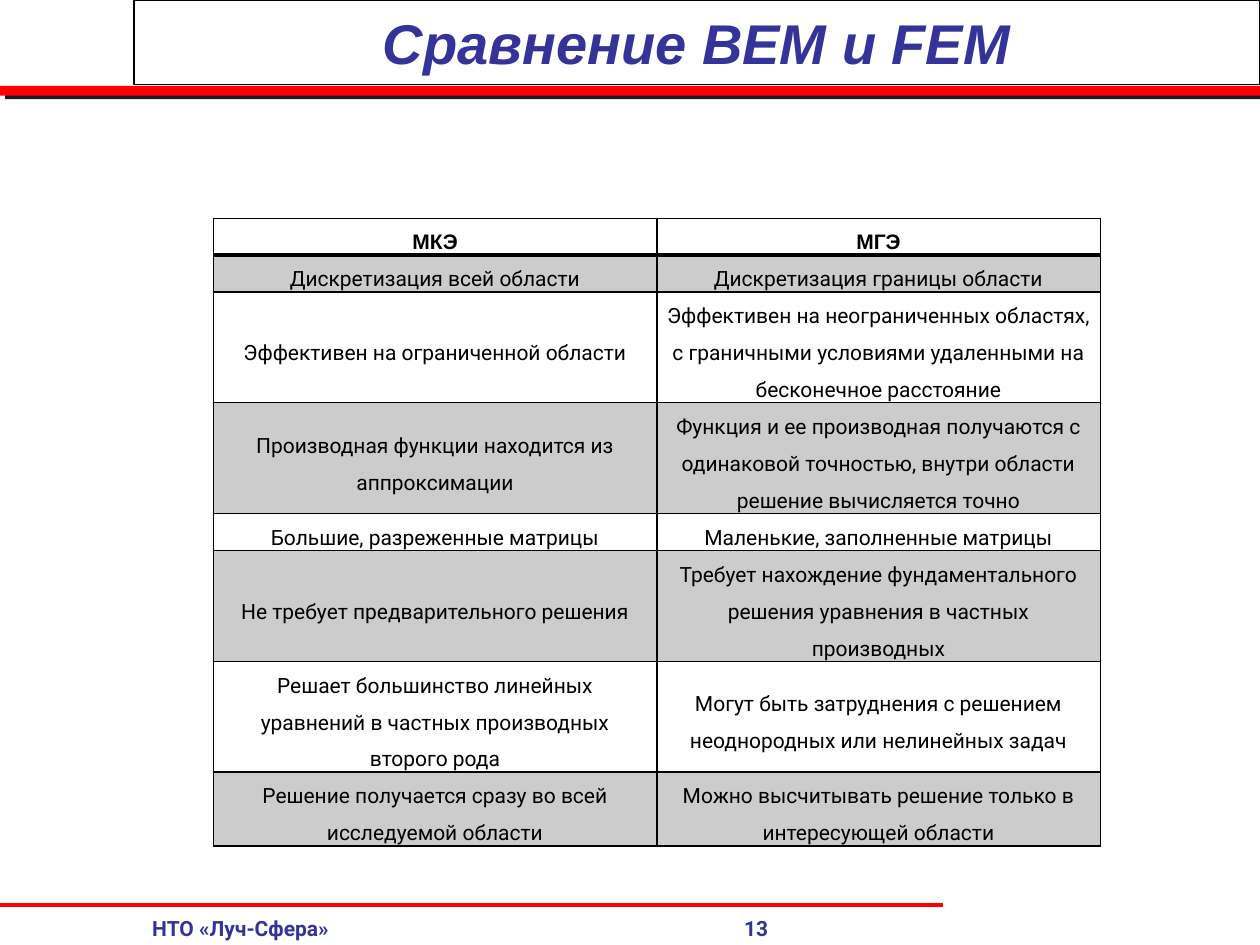
from dataclasses import dataclass

from lxml.etree import SubElement as Sub
from pptx import Presentation
from pptx.dml.color import RGBColor as RGB
from pptx.enum.shapes import MSO_CONNECTOR as Conn, MSO_SHAPE as Shape
from pptx.enum.text import MSO_ANCHOR as Anchor, PP_ALIGN as Align
from pptx.oxml.ns import qn
from pptx.util import Cm, Pt


@dataclass(frozen=True)
class Theme:
    ink: str = "000000"
    paper: str = "FFFFFF"
    red: str = "FF0000"
    blue: str = "333399"
    shade: str = "1C1C1C"
    head: str = "Arial"
    body: str = "Roboto"
    big: int = 32
    small: int = 12
    tint: int = 20


T = Theme()

# Each row: left text, right text, number of text lines
ROWS = [
    ("МКЭ", "МГЭ", 1),
    ("Дискретизация всей области", "Дискретизация границы области", 1),
    ("Эффективен на ограниченной области",
     "Эффективен на неограниченных областях, с граничными условиями "
     "удаленными на бесконечное расстояние", 3),
    ("Производная функции находится из аппроксимации",
     "Функция и ее производная получаются с одинаковой точностью, "
     "внутри области решение вычисляется точно", 3),
    ("Большие, разреженные матрицы", "Маленькие, заполненные матрицы", 1),
    ("Не требует предварительного решения",
     "Требует нахождение фундаментального решения уравнения "
     "в частных производных", 3),
    ("Решает большинство линейных уравнений в частных производных "
     "второго рода",
     "Могут быть затруднения с решением неоднородных или нелинейных задач", 3),
    ("Решение получается сразу во всей исследуемой области",
     "Можно высчитывать решение только в интересующей области", 2),
]


def add_run(par, text, size, font, color, bold=False, slant=False):
    run = par.add_run()
    run.text = text
    face = run.font
    face.size, face.name = Pt(size), font
    face.bold, face.italic = bold, slant
    face.color.rgb = RGB.from_string(color)


def add_box(slide, box, fill):
    shape = slide.shapes.add_shape(Shape.RECTANGLE, *map(Cm, box))
    shape.shadow.inherit = False
    shape.fill.solid()
    shape.fill.fore_color.rgb = RGB.from_string(fill)
    shape.line.fill.background()
    return shape


def add_title(slide, box, text):
    x, y, w, h = box
    # Red bar across the slide, with a hard shadow
    bar = add_box(slide, (0, y + h + 0.03, x + w, 0.2), T.red)
    glow = bar._element.spPr.find(qn("a:effectLst"))
    cast = Sub(glow, qn("a:outerShdw"), blurRad="0", dist=str(Pt(3.6)),
               dir=str(34 * 60000), algn="ctr", rotWithShape="0")
    Sub(cast, qn("a:srgbClr"), val=T.shade)
    # Title frame
    frame = add_box(slide, box, T.paper)
    frame.line.color.rgb = RGB.from_string(T.ink)
    frame.line.width = Pt(0.75)
    frame.text_frame.word_wrap = True
    frame.text_frame.vertical_anchor = Anchor.MIDDLE
    par = frame.text_frame.paragraphs[0]
    par.alignment = Align.CENTER
    add_run(par, text, T.big, T.head, T.blue, True, True)


def set_edges(cell, top, low):
    props = cell._tc.get_or_add_tcPr()
    sides = (("a:lnL", 1), ("a:lnR", 1), ("a:lnT", top), ("a:lnB", low))
    for i, (tag, width) in enumerate(sides):
        edge = Sub(props, qn(tag), w=str(Pt(width)))
        Sub(Sub(edge, qn("a:solidFill")), qn("a:srgbClr"), val=T.ink)
        props.insert(i, edge)


def set_fill(cell, dark):
    if not dark:
        cell.fill.background()
        return
    cell.fill.solid()
    cell.fill.fore_color.rgb = RGB.from_string(T.ink)
    tone = cell._tc.tcPr.find(qn("a:solidFill"))[0]
    Sub(tone, qn("a:alpha"), val=str(T.tint * 1000))


def add_grid(slide, box, rows):
    x, y, w, h = box
    step = h / sum(row[-1] for row in rows)
    table = slide.shapes.add_table(len(rows), 2, *map(Cm, box)).table
    table.first_row = table.horz_banding = False
    for col in table.columns:
        col.width = Cm(w / 2)
    for r, (*texts, lines) in enumerate(rows):
        table.rows[r].height = Cm(step * lines)
        for c, text in enumerate(texts):
            cell = table.cell(r, c)
            cell.vertical_anchor = Anchor.MIDDLE
            cell.margin_left = cell.margin_right = Cm(0.18)
            cell.margin_top = cell.margin_bottom = 0
            set_fill(cell, r % 2 == 1)
            set_edges(cell, 2 if r == 1 else 1, 2 if r == 0 else 1)
            par = cell.text_frame.paragraphs[0]
            par.alignment, par.line_spacing = Align.CENTER, 1.5
            font = T.body if r else T.head
            add_run(par, text, T.small, font, T.ink, r == 0)


def add_foot(slide, box, name, page):
    x, y, w, h = box
    # Red rule
    rule = slide.shapes.add_connector(
        Conn.STRAIGHT, Cm(19), Cm(y - 0.1), 0, Cm(y - 0.1))
    rule.line.color.rgb = RGB.from_string(T.red)
    rule.line.width = Pt(2.5)
    Sub(rule._element.spPr, qn("a:effectLst"))
    # Name and page number, set on tab stops
    frame = slide.shapes.add_textbox(*map(Cm, box)).text_frame
    frame.word_wrap = True
    frame.vertical_anchor = Anchor.MIDDLE
    frame.margin_left = frame.margin_right = 0
    frame.margin_top = frame.margin_bottom = 0
    par = frame.paragraphs[0]
    tabs = Sub(par._p.get_or_add_pPr(), qn("a:tabLst"))
    for stop in (2.77, 14.7):
        Sub(tabs, qn("a:tab"), pos=str(Cm(stop)), algn="l")
    for text in (name, page):
        add_run(par, "\t" + text, T.small, T.body, T.blue, True)


def main():
    deck = Presentation()
    deck.slide_width, deck.slide_height = Cm(25.4), Cm(19.05)
    slide = deck.slides.add_slide(deck.slide_layouts[6])
    add_title(slide, (2.7, 0, 22.7, 1.7), "Сравнение BEM и FEM")
    add_grid(slide, (4.3, 4.4, 17.88, 12.6), ROWS)
    add_foot(slide, (0.3, 18.34, 19.6, 0.76), "НТО «Луч-Сфера»", "13")
    deck.save("out.pptx")


if __name__ == "__main__":
    main()
